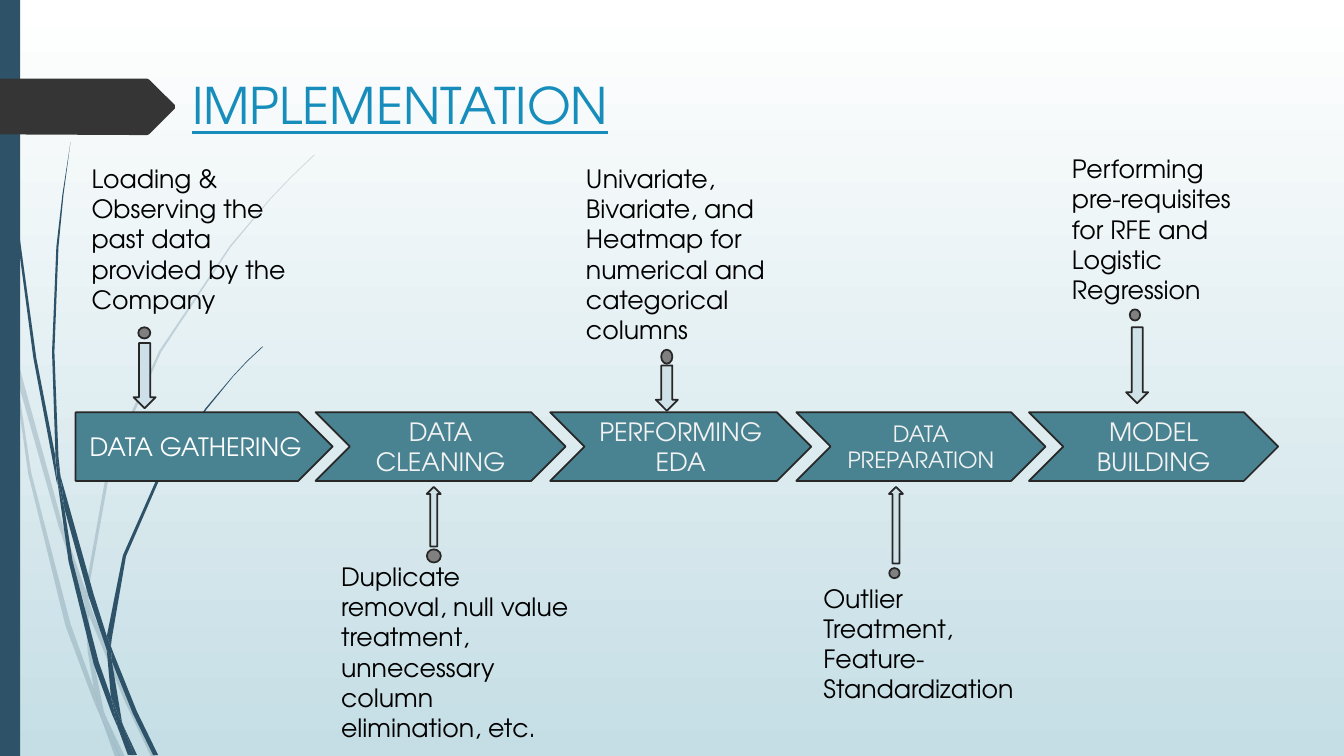
import lxml.etree
import pptx
import pptx.dml.color
import pptx.enum.shapes
import pptx.enum.text
import pptx.oxml.ns
import pptx.util

Pt = pptx.util.Pt
SHAPE = pptx.enum.shapes.MSO_SHAPE
ALIGN = pptx.enum.text.PP_ALIGN
ANCHOR = pptx.enum.text.MSO_ANCHOR
FIT = pptx.enum.text.MSO_AUTO_SIZE

FONT = "TeX Gyre Adventor"
COLORS = {
    "sky": "FFFFFF", "mist": "C5DEE5", "navy": "2E5369", "tag": "353535",
    "title": "178DBB", "step": "498392", "outline": "272727", "dot": "808080",
    "arrow": "CFE2E7", "first arrow": "CDDFE9", "text": "000000",
    "label": "F2F2F2", "first label": "FFFFFF",
}
STEP_TOP, STEP_HEIGHT = 294.5, 49

# Name, left, width, text size, label colour
STEPS = [
    ("DATA GATHERING", 54, 183.6, 18, "first label"),
    ("DATA CLEANING", 225.4, 178.6, 18, "label"),
    ("PERFORMING EDA", 393, 186.5, 18, "label"),
    ("DATA PREPARATION", 568.8, 178, 16, "label"),
    ("MODEL BUILDING", 735, 178, 18, "label"),
]

# Text, text box, dot box, arrow box, arrow shape, arrow colour
NOTES = [
    ("Loading & Observing the past data provided by the Company",
     (58.3, 113, 161.3, 116.6), (98.8, 233.8, 8.6, 8), (95.4, 245, 15.8, 46.6),
     SHAPE.DOWN_ARROW, "first arrow"),
    ("Duplicate removal, null value treatment, unnecessary column elimination, etc.",
     (236.5, 397.4, 178.6, 138.2), (304.9, 392.4, 10, 9.4), (304.8, 347.8, 10, 42.5),
     SHAPE.UP_ARROW, "arrow"),
    ("Univariate, Bivariate, and Heatmap for numerical and categorical columns",
     (411.5, 113, 177.8, 138.2), (472.3, 249.8, 8, 10), (468.4, 261, 15.8, 32.4),
     SHAPE.DOWN_ARROW, "arrow"),
    ("Outlier Treatment, Feature-Standardization",
     (581, 412.8, 155.5, 94.3), (635.2, 405.8, 7.4, 7.2), (635, 347.8, 10, 54.7),
     SHAPE.UP_ARROW, "arrow"),
    ("Performing pre-requisites for RFE and Logistic Regression",
     (758.6, 106, 131.8, 116.6), (807, 221, 7.4, 8), (804.4, 233.8, 15.8, 54.3),
     SHAPE.DOWN_ARROW, "arrow"),
]

TAG = [(0, 56.2), (105.1, 56.2), (106.6, 56.9), (124.9, 75), (124.9, 77.6),
       (106.6, 95.8), (105.1, 96.5), (0, 96)]

# Outlines of the pale and the dark grass blades
PALE_BLADES = [
    [(7.9, 252), (6.5, 231.8), (0, 203), (0, 215.3), (7.2, 247.7)],
    [(41.8, 375.8), (60.5, 431.3), (61.2, 421.9), (44.6, 374.4), (10.1, 248.4),
     (12.2, 270.7)],
    [(66.2, 437), (63.4, 429.1), (63.4, 439.2), (88.6, 499.7), (108, 540.7),
     (111.6, 540.7), (91.4, 498.2)],
    [(85.7, 540.7), (89.3, 540.7), (75.6, 511.9)],
    [(67, 491.8), (50.4, 445.7), (22.3, 337.7), (12.2, 270.7), (7.9, 252),
     (20.2, 338.4), (46.8, 447.1), (66.2, 499), (72.7, 514.1), (71.3, 509)],
    [(60.5, 431.3), (62.6, 465.1), (67, 491.8), (69.1, 498.2), (75.6, 511.9),
     (74.2, 508.3), (65.5, 465.1), (63.4, 439.2), (63.4, 437.8)],
    [(63.4, 420.5), (79.2, 332.6), (115.2, 251.3), (164.9, 176.4), (193, 142.6),
     (208.8, 126), (224.6, 110.9), (224.6, 110.2), (208.1, 126), (193, 141.8),
     (164.2, 175.7), (113.8, 250.6), (77, 331.9), (61.2, 420.5), (61.2, 421.9),
     (63.4, 429.1)],
    [(72.7, 514.1), (82.1, 540.7), (85.7, 540.7)],
    [(63.4, 437.8), (63.4, 439.2), (63.4, 429.1), (61.2, 421.9), (60.5, 431.3)],
    [(69.1, 498.2), (67, 491.8), (71.3, 509), (72.7, 514.1), (85.7, 540.7),
     (75.6, 511.9)],
]
DARK_BLADES = [
    [(5, 79.2), (12.2, 167.8), (23.8, 255.6), (40.3, 343.4), (41, 346.3),
     (39.6, 329), (39.6, 326.2), (25.9, 255.6), (13.7, 167), (5.8, 78.5),
     (3.6, 34.6), (2.9, 0), (2.2, 0), (2.9, 34.6)],
    [(63.4, 426.2), (76.3, 464.4), (76.3, 454.3), (67, 424.8), (43.2, 339.8),
     (46.1, 363.6)],
    [(81.4, 467.3), (79.2, 461.5), (79.9, 472.3), (95, 509.8), (109.4, 539.3),
     (113, 539.3), (97.9, 508.3)],
    [(79.2, 497.5), (70.6, 473), (51.8, 400.3), (46.1, 363.6), (41, 343.4),
     (49, 401), (67, 474.5), (79.9, 509.8), (84.2, 519.8), (83.5, 516.2)],
    [(43.2, 339.8), (41.8, 326.2), (38.9, 251.3), (41.8, 176.4), (45.4, 139),
     (50.4, 101.5), (44.6, 139), (40.3, 176.4), (37.2, 251.3), (39.6, 323.3)],
    [(95.8, 539.3), (97.9, 539.3), (87.8, 517.7)],
    [(41, 343.4), (46.1, 363.6), (43.2, 339.8), (39.6, 323.3), (39.6, 326.2)],
    [(79.9, 455.8), (90, 397.4), (113.8, 342.7), (147.6, 292.3), (166.3, 269.3),
     (176.4, 258.5), (187.9, 247.7), (187.2, 247.7), (176.4, 257.8),
     (166.3, 268.6), (146.9, 291.6), (112.3, 341.3), (87.8, 396.7),
     (76.3, 454.3), (79.2, 461.5)],
    [(84.2, 519.8), (91.4, 539.3), (94.3, 539.3)],
    [(76.3, 464.4), (79.2, 497.5), (83.5, 508.3), (87.8, 517.7), (87.1, 515.5),
     (79.9, 472.3), (78.5, 468.7)],
    [(76.3, 464.4), (78.5, 468.7), (79.9, 472.3), (79.2, 461.5), (76.3, 454.3)],
    [(83.5, 508.3), (79.2, 497.5), (83.5, 516.2), (84.2, 519.8), (93.6, 539.3),
     (95.8, 539.3), (87.8, 517.7)],
]


def color(name):
    return pptx.dml.color.RGBColor.from_string(COLORS[name])


def paint(shape, fill, outlined=False):
    shape.shadow.inherit = False
    shape.fill.solid()
    shape.fill.fore_color.rgb = color(fill)
    if outlined:
        shape.line.color.rgb = color("outline")
        shape.line.width = Pt(1.25)
    else:
        shape.line.fill.background()


def write(shape, text, size, ink, align=ALIGN.LEFT):
    frame = shape.text_frame
    frame.word_wrap = True
    frame.text = text
    para = frame.paragraphs[0]
    para.alignment = align
    span = para.runs[0]
    span.font.name = FONT
    span.font.size = Pt(size)
    span.font.color.rgb = color(ink)
    return span


def add_block(page, kind, box, fill, outlined=False):
    shape = page.shapes.add_shape(kind, *map(Pt, box))
    paint(shape, fill, outlined)
    return shape


def add_outline(parent, points, fill):
    corners = [(Pt(x), Pt(y)) for x, y in points]
    builder = parent.shapes.build_freeform(*corners[0])
    builder.add_line_segments(corners[1:], close=True)
    shape = builder.convert_to_shape()
    paint(shape, fill)
    return shape


def add_blades(page, blades, opacity):
    group = page.shapes.add_group_shape()
    qn = pptx.oxml.ns.qn
    for points in blades:
        blade = add_outline(group, points, "navy")
        if opacity < 100:
            tint = blade.element.find(".//" + qn("a:srgbClr"))
            lxml.etree.SubElement(tint, qn("a:alpha")).set("val", str(opacity * 1000))


def add_background(page):
    fill = page.background.fill
    fill.gradient()
    fill.gradient_angle = 270
    for stop, name in zip(fill.gradient_stops, ("sky", "mist")):
        stop.color.rgb = color(name)


def add_title(page, text):
    title = page.shapes.title
    title.left, title.top, title.width, title.height = map(Pt, (130, 49, 776, 57))
    title.text_frame.auto_size = FIT.NONE
    title.text_frame.vertical_anchor = ANCHOR.TOP
    write(title, text, 36, "title").font.underline = True


def add_step(page, kind, name, left, width, size, ink):
    step = add_block(page, kind, (left, STEP_TOP, width, STEP_HEIGHT), "step", True)
    step.text_frame.vertical_anchor = ANCHOR.MIDDLE
    write(step, name, size, ink, ALIGN.CENTER)


def add_note(page, text, text_box, dot_box, arrow_box, arrow_kind, arrow_fill):
    add_block(page, SHAPE.OVAL, dot_box, "dot", True)
    note = page.shapes.add_textbox(*map(Pt, text_box))
    write(note, text, 18, "text")
    note.text_frame.auto_size = FIT.SHAPE_TO_FIT_TEXT
    add_block(page, arrow_kind, arrow_box, arrow_fill, True)


def main():
    deck = pptx.Presentation()
    deck.slide_width, deck.slide_height = Pt(960), Pt(540)
    page = deck.slides.add_slide(deck.slide_layouts[5])

    # Backdrop
    add_background(page)
    add_blades(page, PALE_BLADES, 20)
    add_blades(page, DARK_BLADES, 100)
    add_block(page, SHAPE.RECTANGLE, (0, 0, 14.4, 540), "navy")
    add_outline(page, TAG, "tag")

    # Title
    add_title(page, "IMPLEMENTATION")

    # Process row
    for index, step in enumerate(STEPS):
        add_step(page, SHAPE.CHEVRON if index else SHAPE.PENTAGON, *step)

    # Notes with their dots and arrows
    for note in NOTES:
        add_note(page, *note)

    deck.save("out.pptx")


if __name__ == "__main__":
    main()
